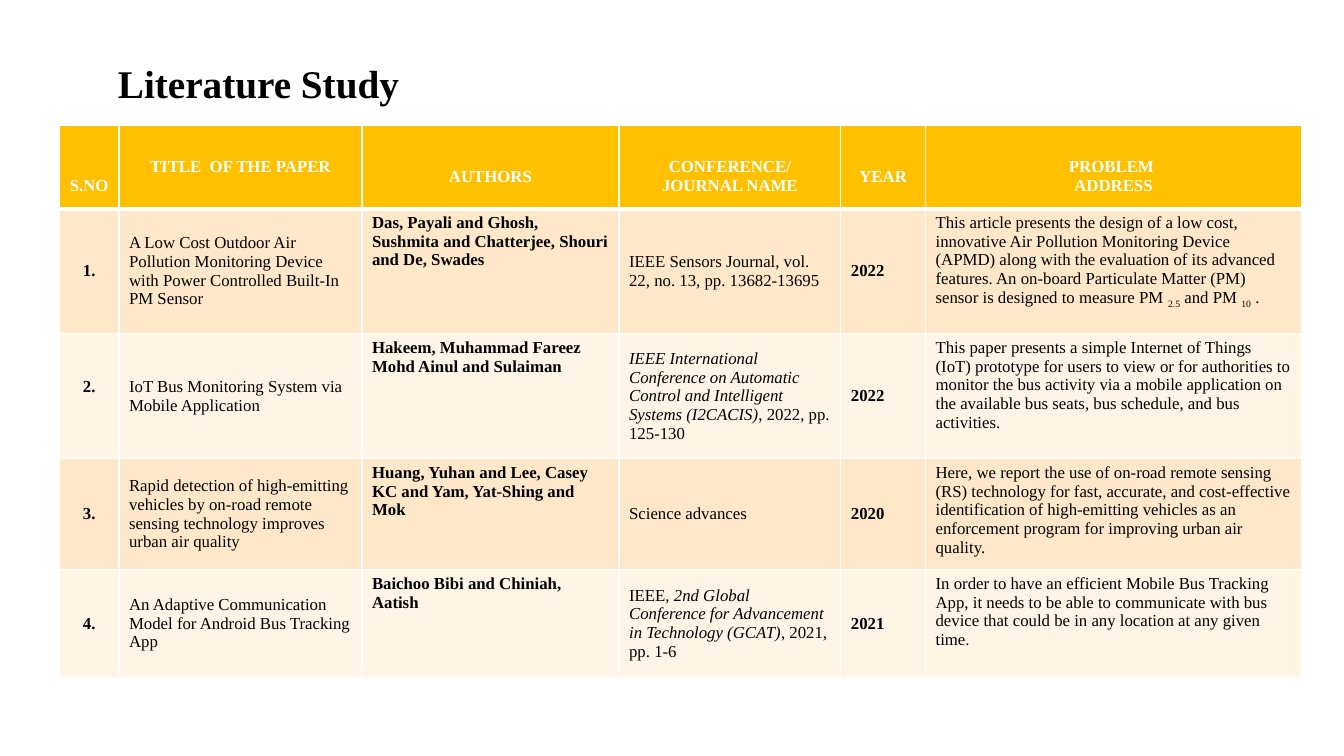
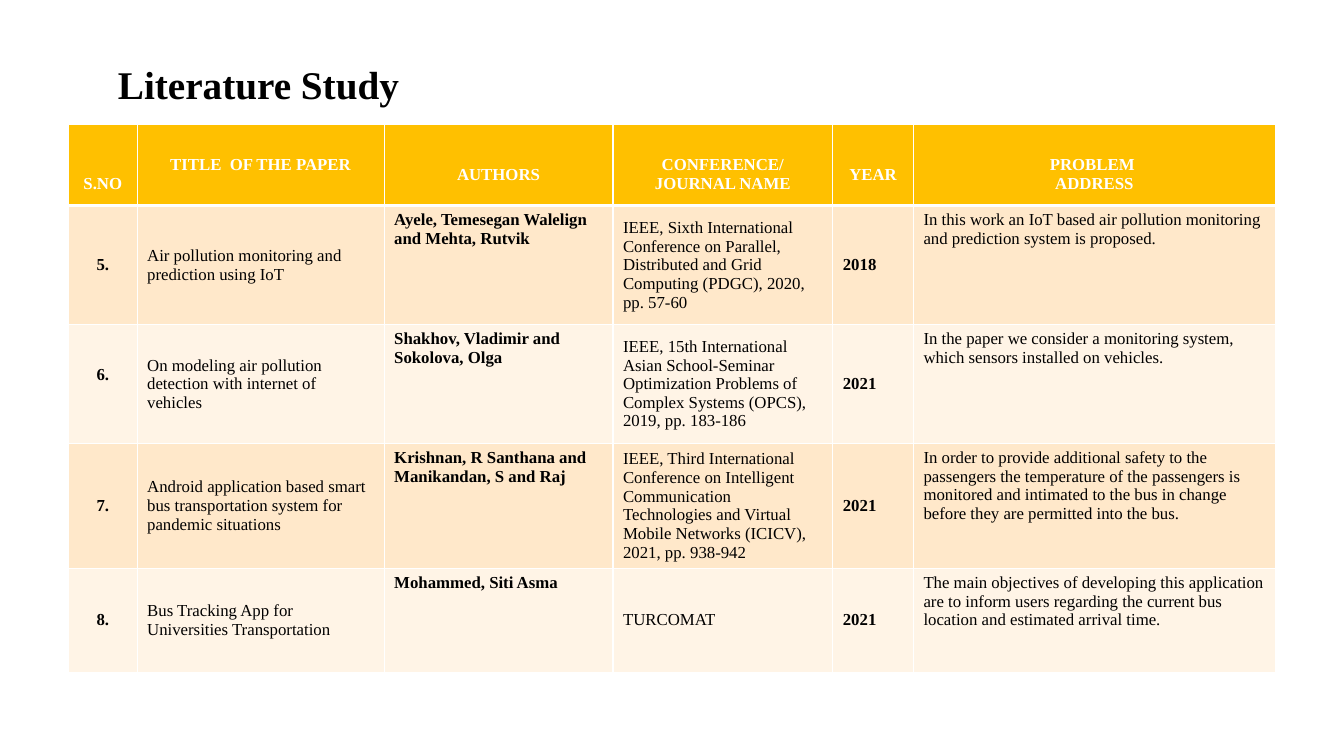
from dataclasses import dataclass

from lxml.etree import SubElement
from pptx import Presentation
from pptx.dml.color import RGBColor
from pptx.enum.text import MSO_ANCHOR, MSO_AUTO_SIZE, PP_ALIGN
from pptx.oxml.ns import qn
from pptx.slide import Slide
from pptx.table import _Cell
from pptx.text.text import _Paragraph
from pptx.util import Inches, Pt


@dataclass(frozen=True)
class Theme:
    font: str = "Times New Roman"
    title_size: int = 28
    table_size: int = 12
    text: str = "000000"
    white: str = "FFFFFF"
    header: str = "FFC000"
    bands: tuple[str, str] = ("FFE8CA", "FFF4E6")
    rule: float = 1
    header_rule: float = 3
    line: float = 0.19  # height of one table text line, inches
    inset: float = 0.05  # cell margin above and below, inches


@dataclass(frozen=True)
class Run:
    text: str
    italic: bool = False
    subscript: bool = False


@dataclass(frozen=True)
class Heading:
    text: str
    lines_down: int  # free lines kept above the text


@dataclass(frozen=True)
class Column:
    bold: bool = False
    align: PP_ALIGN = PP_ALIGN.LEFT
    anchor: MSO_ANCHOR = MSO_ANCHOR.MIDDLE


@dataclass(frozen=True)
class Paper:
    title: str
    authors: str
    venue: tuple[Run, ...]
    year: str
    problem: tuple[Run, ...]
    number_lines_up: int = 0  # free lines kept below the number


@dataclass(frozen=True)
class StudyPage:
    title_box: tuple[float, float, float, float]
    table_at: tuple[float, float]
    widths: tuple[float, ...]
    heights: tuple[float, ...]
    first_number: int
    papers: tuple[Paper, ...]


THEME = Theme()

HEADINGS = (
    Heading("S.NO", 2),
    Heading("TITLE  OF THE PAPER", 0),
    Heading("AUTHORS", 1),
    Heading("CONFERENCE/\nJOURNAL NAME", 1),
    Heading("YEAR", 1),
    Heading("PROBLEM \nADDRESS", 1),
)

COLUMNS = (
    Column(bold=True, align=PP_ALIGN.CENTER),
    Column(),
    Column(bold=True, anchor=MSO_ANCHOR.TOP),
    Column(),
    Column(bold=True),
    Column(anchor=MSO_ANCHOR.TOP),
)

PAGES = (
    StudyPage(
        title_box=(1.07, 0.54, 6.67, 0.57),
        table_at=(0.59, 1.24),
        widths=(0.59, 2.41, 2.55, 2.2, 0.84, 3.73),
        heights=(0.83, 1.24, 1.24, 1.1, 1.07),
        first_number=1,
        papers=(
            Paper(
                "A Low Cost Outdoor Air Pollution Monitoring Device with Power "
                "Controlled Built-In PM Sensor",
                "Das, Payali and Ghosh, Sushmita and Chatterjee, Shouri and De, Swades",
                (Run("IEEE Sensors Journal, vol. 22, no. 13, pp. 13682-13695"),),
                "2022",
                (
                    Run("This article presents the design of a low cost, innovative Air "
                        "Pollution Monitoring Device (APMD) along with the evaluation of its "
                        "advanced features. An on-board Particulate Matter (PM) sensor is "
                        "designed to measure PM "),
                    Run("2.5", subscript=True),
                    Run(" and PM "),
                    Run("10", subscript=True),
                    Run(" ."),
                ),
            ),
            Paper(
                "IoT Bus Monitoring System via Mobile Application",
                "Hakeem, Muhammad Fareez Mohd Ainul and Sulaiman",
                (
                    Run("IEEE International Conference on Automatic Control and "
                        "Intelligent Systems (I2CACIS)", italic=True),
                    Run(", 2022, pp. 125-130"),
                ),
                "2022",
                (Run("This paper presents a simple Internet of Things (IoT) prototype for "
                     "users to view or for authorities to monitor the bus activity via a "
                     "mobile application on the available bus seats, bus schedule, and bus "
                     "activities."),),
                number_lines_up=1,
            ),
            Paper(
                "Rapid detection of high-emitting vehicles by on-road remote sensing "
                "technology improves urban air quality",
                "Huang, Yuhan and Lee, Casey KC and Yam, Yat-Shing and Mok",
                (Run("Science advances"),),
                "2020",
                (Run("Here, we report the use of on-road remote sensing (RS) technology for "
                     "fast, accurate, and cost-effective identification of high-emitting "
                     "vehicles as an enforcement program for improving urban air quality."),),
            ),
            Paper(
                "An Adaptive Communication Model for Android Bus Tracking App",
                "Baichoo Bibi and Chiniah, Aatish",
                (
                    Run("IEEE, "),
                    Run("2nd Global Conference for Advancement in Technology (GCAT)",
                        italic=True),
                    Run(", 2021, pp. 1-6"),
                ),
                "2021",
                (Run("In order to have an efficient Mobile Bus Tracking App, it needs to be "
                     "able to communicate with bus device that could be in any location at "
                     "any given time."),),
            ),
        ),
    ),
    StudyPage(
        title_box=(1.07, 0.62, 3.7, 0.43),
        table_at=(0.68, 1.23),
        widths=(0.68, 2.45, 2.27, 2.18, 0.8, 3.59),
        heights=(0.81, 1.18, 1.18, 1.24, 1.03),
        first_number=5,
        papers=(
            Paper(
                "Air pollution monitoring and prediction using IoT",
                "Ayele, Temesegan Walelign and Mehta, Rutvik",
                (Run("IEEE, Sixth International Conference on Parallel, Distributed and "
                     "Grid Computing (PDGC), 2020, pp. 57-60"),),
                "2018",
                (Run("In this work an IoT based air pollution monitoring and prediction "
                     "system is proposed."),),
            ),
            Paper(
                "On modeling air pollution detection with internet of vehicles",
                "Shakhov, Vladimir and Sokolova, Olga",
                (Run("IEEE, 15th International Asian School-Seminar Optimization Problems "
                     "of Complex Systems (OPCS), 2019, pp. 183-186"),),
                "2021",
                (Run("In the paper we consider a monitoring system, which sensors installed "
                     "on vehicles."),),
                number_lines_up=1,
            ),
            Paper(
                "Android application based smart bus transportation system for pandemic "
                "situations",
                "Krishnan, R Santhana and Manikandan, S and Raj",
                (Run("IEEE, Third International Conference on Intelligent Communication "
                     "Technologies and Virtual Mobile Networks (ICICV), 2021, pp. 938-942"),),
                "2021",
                (Run("In order to provide additional safety to the passengers the "
                     "temperature of the passengers is monitored and intimated to the bus in "
                     "change before they are permitted into the bus."),),
            ),
            Paper(
                "Bus Tracking App for Universities Transportation",
                "Mohammed, Siti Asma",
                (Run("TURCOMAT"),),
                "2021",
                (Run("The main objectives of developing this application are to inform "
                     "users regarding the current bus location and estimated arrival time."),),
            ),
        ),
    ),
)


def style_paragraph(paragraph: _Paragraph, size: int, color: str, bold: bool,
                    align: PP_ALIGN) -> None:
    paragraph.alignment = align
    font = paragraph.font
    font.name, font.size, font.bold = THEME.font, Pt(size), bold
    font.color.rgb = RGBColor.from_string(color)


def style_cell(cell: _Cell, fill: str, anchor: MSO_ANCHOR, bottom_rule: float,
               lines_above: int = 0, lines_below: int = 0) -> None:
    cell.vertical_anchor = anchor
    cell.margin_left = cell.margin_right = Inches(0.1)
    cell.margin_top = Inches(THEME.inset + lines_above * THEME.line)
    cell.margin_bottom = Inches(THEME.inset + lines_below * THEME.line)
    # White rules on all four sides
    properties = cell._tc.get_or_add_tcPr()
    for side in ("L", "R", "T", "B"):
        width = bottom_rule if side == "B" else THEME.rule
        line = SubElement(properties, qn(f"a:ln{side}"), w=str(Pt(width)))
        SubElement(SubElement(line, qn("a:solidFill")), qn("a:srgbClr"), val=THEME.white)
    cell.fill.solid()
    cell.fill.fore_color.rgb = RGBColor.from_string(fill)


def fill_heading(cell: _Cell, heading: Heading) -> None:
    style_cell(cell, THEME.header, MSO_ANCHOR.MIDDLE, THEME.header_rule,
               lines_above=heading.lines_down)
    cell.text_frame.text = heading.text
    for paragraph in cell.text_frame.paragraphs:
        style_paragraph(paragraph, THEME.table_size, THEME.white, True, PP_ALIGN.CENTER)


def fill_entry(cell: _Cell, runs: tuple[Run, ...], column: Column, band: str,
               lines_below: int) -> None:
    style_cell(cell, band, column.anchor, THEME.rule, lines_below=lines_below)
    paragraph = cell.text_frame.paragraphs[0]
    style_paragraph(paragraph, THEME.table_size, THEME.text, column.bold, column.align)
    for part in runs:
        run = paragraph.add_run()
        run.text = part.text
        if part.italic:
            run.font.italic = True
        if part.subscript:
            run._r.get_or_add_rPr().set("baseline", "-25000")


def add_title(slide: Slide, box: tuple[float, float, float, float]) -> None:
    title = slide.shapes.title
    title.left, title.top, title.width, title.height = map(Inches, box)
    frame = title.text_frame
    frame.text = "Literature Study"
    frame.auto_size = MSO_AUTO_SIZE.NONE
    frame.vertical_anchor = MSO_ANCHOR.MIDDLE
    style_paragraph(frame.paragraphs[0], THEME.title_size, THEME.text, True, PP_ALIGN.LEFT)


def add_paper_table(slide: Slide, page: StudyPage) -> None:
    left, top = page.table_at
    table = slide.shapes.add_table(
        len(page.heights), len(page.widths), Inches(left), Inches(top),
        Inches(sum(page.widths)), Inches(sum(page.heights))).table
    table.horz_banding = False
    for column, width in zip(table.columns, page.widths):
        column.width = Inches(width)
    for row, height in zip(table.rows, page.heights):
        row.height = Inches(height)

    for index, heading in enumerate(HEADINGS):
        fill_heading(table.cell(0, index), heading)
    for row_index, paper in enumerate(page.papers):
        number = f"{page.first_number + row_index}."
        entries = ((Run(number),), (Run(paper.title),), (Run(paper.authors),),
                   paper.venue, (Run(paper.year),), paper.problem)
        band = THEME.bands[row_index % 2]
        for index, (runs, column) in enumerate(zip(entries, COLUMNS)):
            lines_below = paper.number_lines_up if index == 0 else 0
            fill_entry(table.cell(row_index + 1, index), runs, column, band, lines_below)


def main() -> None:
    deck = Presentation()
    deck.slide_width, deck.slide_height = Inches(13.33), Inches(7.5)
    title_only = deck.slide_layouts[5]
    for page in PAGES:
        slide = deck.slides.add_slide(title_only)
        add_title(slide, page.title_box)
        add_paper_table(slide, page)
    deck.save("out.pptx")


if __name__ == "__main__":
    main()
